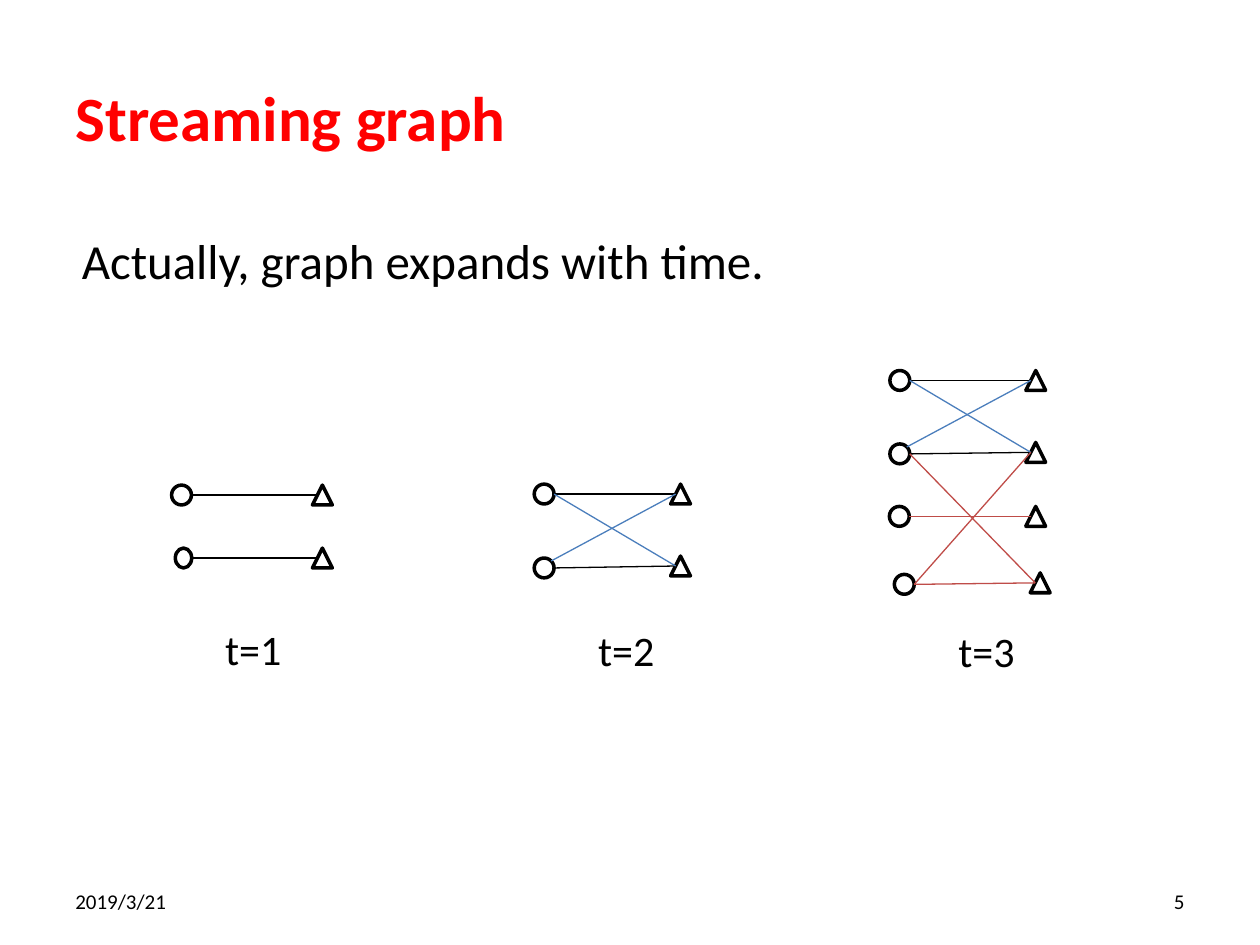
from pptx import Presentation
from pptx.dml.color import RGBColor
from pptx.enum import shapes, text
from pptx.oxml.ns import qn
from pptx.util import Cm, Pt
from lxml import etree

COLORS = {
    "title": "FF0000",
    "ink": "000000",
    "node": "FFFFFF",
    "first": "000000",
    "second": "4B7EBC",
    "third": "BF4C48",
}
NODE = 0.4
RIGHT = (NODE / 2, 0)
UPPER_RIGHT = (0.14, -0.14)

# Node entries are (centre x, centre y, width); edges are (user, item, colour, start offset).
GRAPHS = [
    {
        "label": ("t=1", 4.29, 12.45, 2.9),
        "users": [(3.66, 9.98, NODE), (3.7, 11.25, 0.33)],
        "items": [(6.5, 9.98, NODE), (6.5, 11.25, NODE)],
        "edges": [(0, 0, "first", RIGHT), (1, 1, "first", RIGHT)],
    },
    {
        "label": ("t=2", 11.81, 12.47, 2.8),
        "users": [(10.97, 9.96, NODE), (10.97, 11.45, NODE)],
        "items": [(13.72, 9.96, NODE), (13.72, 11.41, NODE)],
        "edges": [
            (0, 0, "first", RIGHT),
            (1, 1, "first", RIGHT),
            (0, 1, "second", RIGHT),
            (1, 0, "second", UPPER_RIGHT),
        ],
    },
    {
        "label": ("t=3", 19.07, 12.48, 3.4),
        "users": [(18.14, 7.67, NODE), (18.14, 9.15, NODE),
                  (18.13, 10.41, NODE), (18.23, 11.78, NODE)],
        "items": [(20.88, 7.67, NODE), (20.88, 9.12, NODE),
                  (20.88, 10.41, NODE), (20.97, 11.75, NODE)],
        "edges": [
            (0, 0, "first", RIGHT),
            (1, 1, "first", RIGHT),
            (0, 1, "second", RIGHT),
            (1, 0, "second", UPPER_RIGHT),
            (2, 2, "third", RIGHT),
            (3, 3, "third", RIGHT),
            (1, 3, "third", RIGHT),
            (3, 1, "third", RIGHT),
        ],
    },
]


def color(name):
    """Return the named colour."""
    return RGBColor.from_string(COLORS[name])


def write(shape, words, size, name="ink", bold=False, align=text.PP_ALIGN.LEFT,
          anchor=text.MSO_ANCHOR.TOP):
    """Put one formatted paragraph into a shape."""
    frame = shape.text_frame
    frame.word_wrap = True
    frame.vertical_anchor = anchor
    frame.text = words
    paragraph = frame.paragraphs[0]
    paragraph.alignment = align
    font = paragraph.font
    font.name = "Calibri"
    font.size = Pt(size)
    font.bold = bold
    font.color.rgb = color(name)


def add_text(parent, words, left, top, width, height, size, **style):
    """Add a text box."""
    box = parent.shapes.add_textbox(Cm(left), Cm(top), Cm(width), Cm(height))
    write(box, words, size, **style)


def add_node(group, kind, x, y, width):
    """Add an outlined graph node around its centre."""
    node = group.shapes.add_shape(
        kind, Cm(x - width / 2), Cm(y - NODE / 2), Cm(width), Cm(NODE))
    node.shadow.inherit = False
    node.fill.solid()
    node.fill.fore_color.rgb = color("node")
    node.line.color.rgb = color("ink")
    node.line.width = Pt(2)


def add_edge(group, user, item, name, offset):
    """Draw an edge from a user to the left side of an item."""
    x, y, width = user
    shift_x, shift_y = offset
    start_x = x + shift_x * width / NODE
    edge = group.shapes.add_connector(
        shapes.MSO_CONNECTOR.STRAIGHT, Cm(start_x), Cm(y + shift_y),
        Cm(item[0] - NODE / 4), Cm(item[1]))
    edge.line.color.rgb = color(name)
    edge.line.width = Pt(0.75)
    etree.SubElement(edge._element.spPr, qn("a:effectLst"))


def add_graph(slide, graph):
    """Add one grouped bipartite graph with its time label."""
    group = slide.shapes.add_group_shape()
    words, left, top, width = graph["label"]
    add_text(group, words, left, top, width, 1.27, 24)
    for user in graph["users"]:
        add_node(group, shapes.MSO_SHAPE.OVAL, *user)
    for item in graph["items"]:
        add_node(group, shapes.MSO_SHAPE.ISOSCELES_TRIANGLE, *item)
    for user, item, name, offset in graph["edges"]:
        add_edge(group, graph["users"][user], graph["items"][item], name, offset)


def main():
    """Build the streaming graph slide."""
    presentation = Presentation()
    presentation.slide_width, presentation.slide_height = Cm(25.4), Cm(19.05)
    slide = presentation.slides.add_slide(presentation.slide_layouts[5])
    middle = text.MSO_ANCHOR.MIDDLE

    title = slide.shapes.title
    title.left, title.top = Cm(1.27), Cm(0.76)
    title.width, title.height = Cm(22.86), Cm(3.18)
    write(title, "Streaming graph", 36, name="title", bold=True, anchor=middle)

    add_text(slide, "Actually, graph expands with time.", 1.4, 4.52, 22.6, 1.68, 28)
    add_text(slide, "2019/3/21", 1.27, 17.65, 5.92, 1.02, 12, anchor=middle)
    add_text(slide, "5", 18.21, 17.65, 5.92, 1.02, 12,
             align=text.PP_ALIGN.RIGHT, anchor=middle)
    for graph in GRAPHS:
        add_graph(slide, graph)
    presentation.save("out.pptx")


if __name__ == "__main__":
    main()
